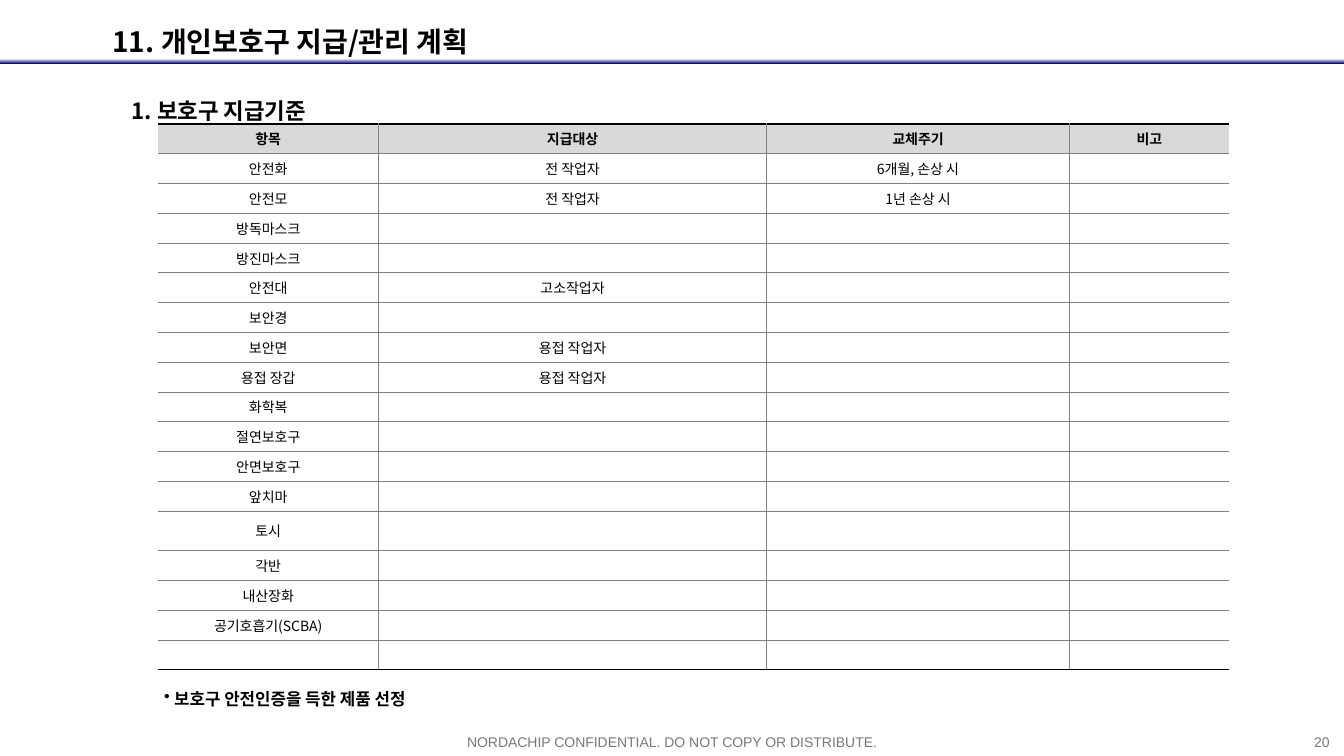
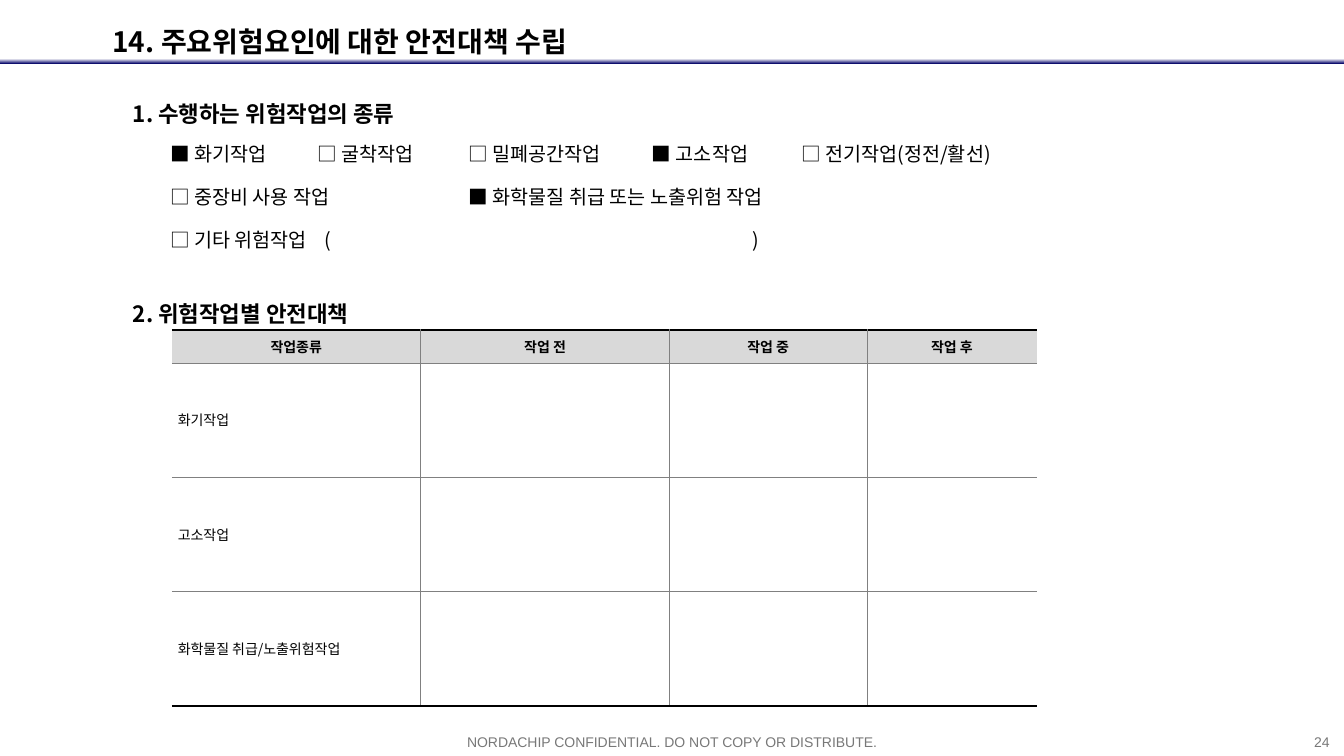
from dataclasses import dataclass

import lxml.etree
import pptx
import pptx.dml.color
import pptx.enum.shapes
import pptx.enum.text
import pptx.oxml.ns
import pptx.util

Cm = pptx.util.Cm
Pt = pptx.util.Pt
Align = pptx.enum.text.PP_ALIGN
Anchor = pptx.enum.text.MSO_ANCHOR
qn = pptx.oxml.ns.qn


@dataclass(frozen=True)
class Theme:
    font: str = "Noto Sans CJK KR"
    footer_font: str = "Arial"
    ink: str = "000000"
    muted: str = "787878"
    grid: str = "808080"
    header_fill: str = "D9D9D9"
    band_top: str = "FFFFFF"
    band_bottom: str = "000066"
    title_size: int = 20
    heading_size: int = 16
    choice_size: int = 14
    note_size: int = 12
    small_size: int = 10
    grid_width: float = 0.25
    rule_width: float = 1.5


THEME = Theme()
SLIDE_WIDTH, SLIDE_HEIGHT = 33.87, 19.05
FOOTER = "NORDACHIP CONFIDENTIAL. DO NOT COPY OR DISTRIBUTE."


def rgb(value):
    return pptx.dml.color.RGBColor.from_string(value)


def add_xml(parent, tag, **attributes):
    return lxml.etree.SubElement(parent, qn(tag), **attributes)


# Text
def style(paragraph, size, bold=False, color=THEME.ink, name=THEME.font, align=Align.LEFT):
    paragraph.alignment = align
    font = paragraph.font
    font.size, font.bold, font.name = Pt(size), bold, name
    font.color.rgb = rgb(color)
    defaults = paragraph._p.get_or_add_pPr().get_or_add_defRPr()
    add_xml(defaults, "a:ea", typeface=name)


def add_text(slide, text, left, top, width, height, wrap=True):
    frame = slide.shapes.add_textbox(Cm(left), Cm(top), Cm(width), Cm(height)).text_frame
    frame.word_wrap = wrap
    paragraph = frame.paragraphs[0]
    paragraph.text = text
    return paragraph


def hang(paragraph, indent):
    properties = paragraph._p.get_or_add_pPr()
    properties.set("marL", str(Cm(indent)))
    properties.set("indent", str(-Cm(indent)))
    return properties


def add_heading(slide, text, left, top):
    heading = add_text(slide, text, left, top, 21.64, 1.27)
    hang(heading, 0.74)
    heading.line_spacing = 1.5
    heading.space_after = Pt(10)
    style(heading, THEME.heading_size, bold=True)


def add_bullet_note(slide, text, left, top):
    note = add_text(slide, text, left, top, 22.58, 0.81)
    add_xml(hang(note, 0.25), "a:buChar", char="•")
    note.line_spacing = 1.2
    note.space_after = Pt(3)
    style(note, THEME.note_size, bold=True)


def add_choice(slide, text, left, top, width, tab_stops=()):
    choice = add_text(slide, text, left, top, width, 0.86)
    if tab_stops:
        tabs = add_xml(choice._p.get_or_add_pPr(), "a:tabLst")
        for stop in tab_stops:
            add_xml(tabs, "a:tab", pos=str(Cm(stop)), algn="l")
    style(choice, THEME.choice_size)


# Slide frame: title, band and footer
def add_framed_slide(deck, title_text, title_width, number):
    slide = deck.slides.add_slide(deck.slide_layouts[5])
    title = slide.shapes.title
    title.left, title.top = Cm(2.58), Cm(0.08)
    title.width, title.height = Cm(title_width), Cm(1.52)
    frame = title.text_frame
    frame.text = title_text
    frame.word_wrap = False
    frame.auto_size = pptx.enum.text.MSO_AUTO_SIZE.NONE
    frame.vertical_anchor = Anchor.MIDDLE
    frame.paragraphs[0].line_spacing = 1.5
    style(frame.paragraphs[0], THEME.title_size, bold=True)

    band = slide.shapes.add_shape(pptx.enum.shapes.MSO_SHAPE.RECTANGLE,
                                  0, Cm(1.48), Cm(SLIDE_WIDTH), Cm(0.13))
    band.shadow.inherit = False
    band.line.fill.background()
    band.fill.gradient()
    band.fill.gradient_angle = 270
    for stop, color in zip(band.fill.gradient_stops, (THEME.band_top, THEME.band_bottom)):
        stop.color.rgb = rgb(color)

    notice = add_text(slide, FOOTER, 10.57, 18.36, 12.73, 0.69)
    page = add_text(slide, str(number), 32.82, 18.36, 0.94, 0.69, wrap=False)
    for paragraph, align in ((notice, Align.CENTER), (page, Align.RIGHT)):
        style(paragraph, THEME.small_size, color=THEME.muted,
              name=THEME.footer_font, align=align)
    return slide


# Tables
def add_border(cell, side, width, color):
    line = add_xml(cell._tc.get_or_add_tcPr(), f"a:{side}", w=str(Pt(width)))
    if color:
        add_xml(add_xml(line, "a:solidFill"), "a:srgbClr", val=color)
    else:
        add_xml(line, "a:noFill")


def add_ruled_table(slide, rows, left, top, widths, heights, body_align):
    table = slide.shapes.add_table(len(rows), len(widths), Cm(left), Cm(top),
                                   Cm(sum(widths)), Cm(sum(heights))).table
    table.first_row = table.horz_banding = False
    for column, width in zip(table.columns, widths):
        column.width = Cm(width)
    for row, height in zip(table.rows, heights):
        row.height = Cm(height)

    grid = (THEME.grid_width, THEME.grid)
    rule = (THEME.rule_width, THEME.ink)
    open_side = (THEME.grid_width, None)
    last_row, last_column = len(rows) - 1, len(widths) - 1
    for r, texts in enumerate(rows):
        header = r == 0
        for c in range(len(widths)):
            cell = table.cell(r, c)
            add_border(cell, "lnL", *(open_side if c == 0 else grid))
            add_border(cell, "lnR", *(open_side if c == last_column else grid))
            add_border(cell, "lnT", *(rule if header else grid))
            add_border(cell, "lnB", *(rule if r == last_row else grid))
            if header:
                cell.fill.solid()
                cell.fill.fore_color.rgb = rgb(THEME.header_fill)
            else:
                cell.fill.background()
            cell.vertical_anchor = Anchor.MIDDLE
            cell.margin_left = cell.margin_right = Cm(0.15)
            paragraph = cell.text_frame.paragraphs[0]
            if c < len(texts) and texts[c]:
                paragraph.text = texts[c]
            else:
                # An empty cell keeps the small line height
                add_xml(paragraph._p, "a:endParaRPr", sz=str(THEME.small_size * 100))
            style(paragraph, THEME.small_size, bold=header,
                  align=Align.CENTER if header else body_align)


# Slides
def build_equipment_slide(deck):
    slide = add_framed_slide(deck, "11. 개인보호구 지급/관리 계획", 10.41, 20)
    add_heading(slide, "1. 보호구 지급기준", 3.07, 1.98)
    equipment = [
        ("항목", "지급대상", "교체주기", "비고"),
        ("안전화", "전 작업자", "6개월, 손상 시"),
        ("안전모", "전 작업자", "1년 손상 시"),
        ("방독마스크",),
        ("방진마스크",),
        ("안전대", "고소작업자"),
        ("보안경",),
        ("보안면", "용접 작업자"),
        ("용접 장갑", "용접 작업자"),
        ("화학복",),
        ("절연보호구",),
        ("안면보호구",),
        ("앞치마",),
        ("토시",),
        ("각반",),
        ("내산장화",),
        ("공기호흡기(SCBA)",),
        (),
    ]
    heights = [1.0 if "토시" in row else 0.75 for row in equipment]
    add_ruled_table(slide, equipment, 3.98, 3.12, (5.56, 9.78, 7.63, 4.03),
                    heights, Align.CENTER)
    add_bullet_note(slide, "보호구 안전인증을 득한 제품 선정", 3.89, 17.12)


def build_hazard_slide(deck):
    slide = add_framed_slide(deck, "14. 주요위험요인에 대한 안전대책 수립", 13.21, 24)
    add_heading(slide, "1. 수행하는 위험작업의 종류", 3.1, 2.06)
    choice_lines = [
        [("■ 화기작업", 4.04, 4.19), ("□ 굴착작업", 7.75, 4.19),
         ("□ 밀폐공간작업", 11.56, 5.0), ("■ 고소작업", 16.18, 3.43),
         ("□ 전기작업(정전/활선)", 19.94, 6.38)],
        [("□ 중장비 사용 작업", 4.04, 5.79),
         ("■ 화학물질 취급 또는 노출위험 작업", 11.56, 9.58)],
        [("□ 기타 위험작업\t(\t)", 4.04, 21.62, (3.88, 14.68))],
    ]
    for index, choices in enumerate(choice_lines):
        for text, left, width, *tab_stops in choices:
            add_choice(slide, text, left, 3.46 + 1.08 * index, width, *tab_stops)

    add_heading(slide, "2. 위험작업별 안전대책", 3.1, 7.09)
    measures = [
        ("작업종류", "작업 전", "작업 중", "작업 후"),
        ("화기작업",),
        ("고소작업",),
        ("화학물질 취급/노출위험작업",),
    ]
    add_ruled_table(slide, measures, 4.33, 8.32, (6.27, 6.27, 4.98, 4.28),
                    [0.82] + [2.88] * 3, Align.LEFT)


def main():
    deck = pptx.Presentation()
    deck.slide_width, deck.slide_height = Cm(SLIDE_WIDTH), Cm(SLIDE_HEIGHT)
    build_equipment_slide(deck)
    build_hazard_slide(deck)
    deck.save("out.pptx")


if __name__ == "__main__":
    main()
